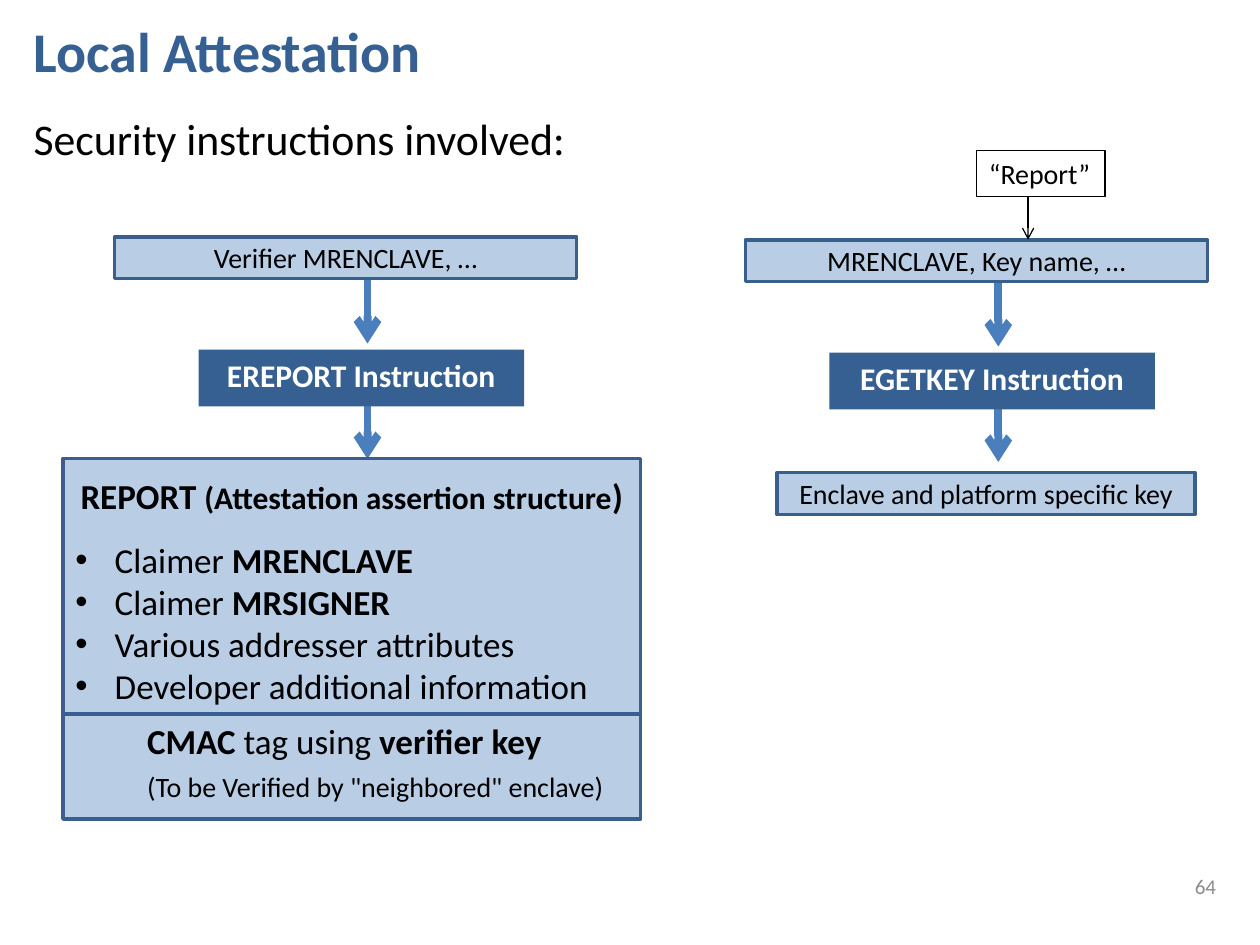
from lxml import etree
from pptx import Presentation
from pptx.dml.color import RGBColor
from pptx.enum.shapes import MSO_CONNECTOR, MSO_SHAPE
from pptx.enum.text import MSO_ANCHOR, MSO_AUTO_SIZE, PP_ALIGN
from pptx.oxml.ns import qn
from pptx.util import Pt

STRAIGHT, RECTANGLE = MSO_CONNECTOR.STRAIGHT, MSO_SHAPE.RECTANGLE
TOP, MIDDLE = MSO_ANCHOR.TOP, MSO_ANCHOR.MIDDLE
LEFT, CENTER, RIGHT = PP_ALIGN.LEFT, PP_ALIGN.CENTER, PP_ALIGN.RIGHT

FONT = "Calibri"
NAVY = RGBColor(0x37, 0x60, 0x92)
BORDER = RGBColor(0x3A, 0x5F, 0x8C)
PALE = RGBColor(0xB9, 0xCD, 0xE5)
ARROW = RGBColor(0x4B, 0x7E, 0xBC)
GRAY = RGBColor(0x8C, 0x8C, 0x8C)
BLACK = RGBColor(0, 0, 0)
WHITE = RGBColor(0xFF, 0xFF, 0xFF)

# Content
TITLE = "Local Attestation"
LEAD = "Security instructions involved:"
PAGE = "64"
# Flow: left, top, input, instruction
FLOWS = [
    (65.5, 135.3, "Verifier MRENCLAVE, …", "EREPORT Instruction"),
    (426, 137, "MRENCLAVE, Key name, …", "EGETKEY Instruction"),
]
KEY_OUTPUT = "Enclave and platform specific key"
# Report paragraph: style, space before, runs of (text, size, bold)
REPORT = [
    ("center", 0, [("REPORT ", 20, True),
                   ("(Attestation assertion structure", 18, True),
                   (")", 20, True)]),
    ("bullet", 13, [("Claimer ", 20, False), ("MRENCLAVE", 20, True)]),
    ("bullet", 0, [("Claimer ", 20, False), ("MRSIGNER", 20, True)]),
    ("bullet", 0, [("Various addresser attributes", 20, False)]),
    ("bullet", 0, [("Developer additional information", 20, False)]),
    ("indent", 7, [("CMAC", 20, True), (" tag using ", 20, False),
                   ("verifier key", 20, True)]),
    ("indent", 5, [('(To be Verified by "neighbored" enclave)', 16, False)]),
]


def set_indent(paragraph, margin, first_line, bullet=None):
    properties = paragraph._p.get_or_add_pPr()
    properties.set("marL", str(Pt(margin)))
    properties.set("indent", str(Pt(first_line)))
    if bullet:
        etree.SubElement(properties, qn("a:buFont")).set("typeface", "Arial")
        etree.SubElement(properties, qn("a:buChar")).set("char", bullet)
    else:
        etree.SubElement(properties, qn("a:buNone"))


def write(shape, text, size, color, bold=False, align=CENTER, anchor=MIDDLE,
          wrap=True):
    frame = shape.text_frame
    frame.text = text
    frame.word_wrap = wrap
    frame.auto_size = MSO_AUTO_SIZE.NONE
    frame.vertical_anchor = anchor
    paragraph = frame.paragraphs[0]
    set_indent(paragraph, 0, 0)
    paragraph.alignment = align
    paragraph.space_before = Pt(0)
    font = paragraph.font
    font.name, font.size, font.bold = FONT, Pt(size), bold
    font.color.rgb = color


def place(shape, left, top, width, height):
    shape.left, shape.top = Pt(left), Pt(top)
    shape.width, shape.height = Pt(width), Pt(height)


def add_box(slide, left, top, width, height, fill=PALE, line=BORDER, weight=2):
    box = slide.shapes.add_shape(RECTANGLE, Pt(left), Pt(top), Pt(width), Pt(height))
    box.shadow.inherit = False
    if fill is None:
        box.fill.background()
    else:
        box.fill.solid()
        box.fill.fore_color.rgb = fill
    if line is None:
        box.line.fill.background()
    else:
        box.line.color.rgb = line
        box.line.width = Pt(weight)
    return box


def add_line(slide, x1, y1, x2, y2, color, weight, arrow=True):
    line = slide.shapes.add_connector(STRAIGHT, Pt(x1), Pt(y1), Pt(x2), Pt(y2))
    line.line.color.rgb = color
    line.line.width = Pt(weight)
    if arrow:
        outline = line.line._get_or_add_ln()
        etree.SubElement(outline, qn("a:tailEnd")).set("type", "arrow")
    etree.SubElement(line._element.spPr, qn("a:effectLst"))


def add_flow(slide, left, top, source, instruction):
    for offset in (13, 79):
        add_line(slide, left + 144.5, top + offset,
                 left + 144.5, top + offset + 48, ARROW, 4.5)
    write(add_box(slide, left, top, 264, 24), source, 16, BLACK)
    write(add_box(slide, left + 48, top + 64.5, 186, 32.4, NAVY, None),
          instruction, 18, WHITE, bold=True, anchor=TOP)


def add_report(slide, left, top, width, height, divider):
    frame = add_box(slide, left, top, width, height).text_frame
    frame.word_wrap = True
    frame.vertical_anchor = MIDDLE
    for index, (style, before, runs) in enumerate(REPORT):
        paragraph = frame.add_paragraph() if index else frame.paragraphs[0]
        if style == "bullet":
            set_indent(paragraph, 22.5, -22.5, "•")
        elif style == "indent":
            set_indent(paragraph, 41, 0)
        paragraph.alignment = CENTER if style == "center" else LEFT
        paragraph.space_before = Pt(before)
        paragraph.font.name = FONT
        paragraph.font.color.rgb = BLACK
        for text, size, bold in runs:
            run = paragraph.add_run()
            run.text = text
            run.font.name, run.font.size, run.font.bold = FONT, Pt(size), bold
            run.font.color.rgb = BLACK
    add_line(slide, left, divider, left + width, divider, NAVY, 2.25, arrow=False)


def main():
    presentation = Presentation()
    presentation.slide_width, presentation.slide_height = Pt(720), Pt(540)
    slide = presentation.slides.add_slide(presentation.slide_layouts[1])

    # Title, lead and page number
    title, body = slide.placeholders
    place(title, 12, 6, 240, 46)
    write(title, TITLE, 32, NAVY, bold=True, align=LEFT, anchor=TOP, wrap=False)
    place(body, 12, 60, 708, 37.5)
    write(body, LEAD, 25, BLACK, align=LEFT, anchor=TOP)
    number = slide.shapes.add_textbox(Pt(534), Pt(492), Pt(168), Pt(28.75))
    write(number, PAGE, 12, GRAY, align=RIGHT)

    # Instruction flows and their outputs
    for flow in FLOWS:
        add_flow(slide, *flow)
    write(add_box(slide, 444, 270, 239, 24), KEY_OUTPUT, 16, BLACK)
    add_report(slide, 36, 262, 330, 206, divider=408)

    # Report fed into the key request
    label = add_box(slide, 558, 86, 73.5, 26.5, None, BLACK, 0.75)
    write(label, "“Report”", 16, BLACK, align=LEFT, wrap=False)
    add_line(slide, 587.5, 112.5, 587.5, 137, BLACK, 0.75)

    presentation.save("out.pptx")


if __name__ == "__main__":
    main()
